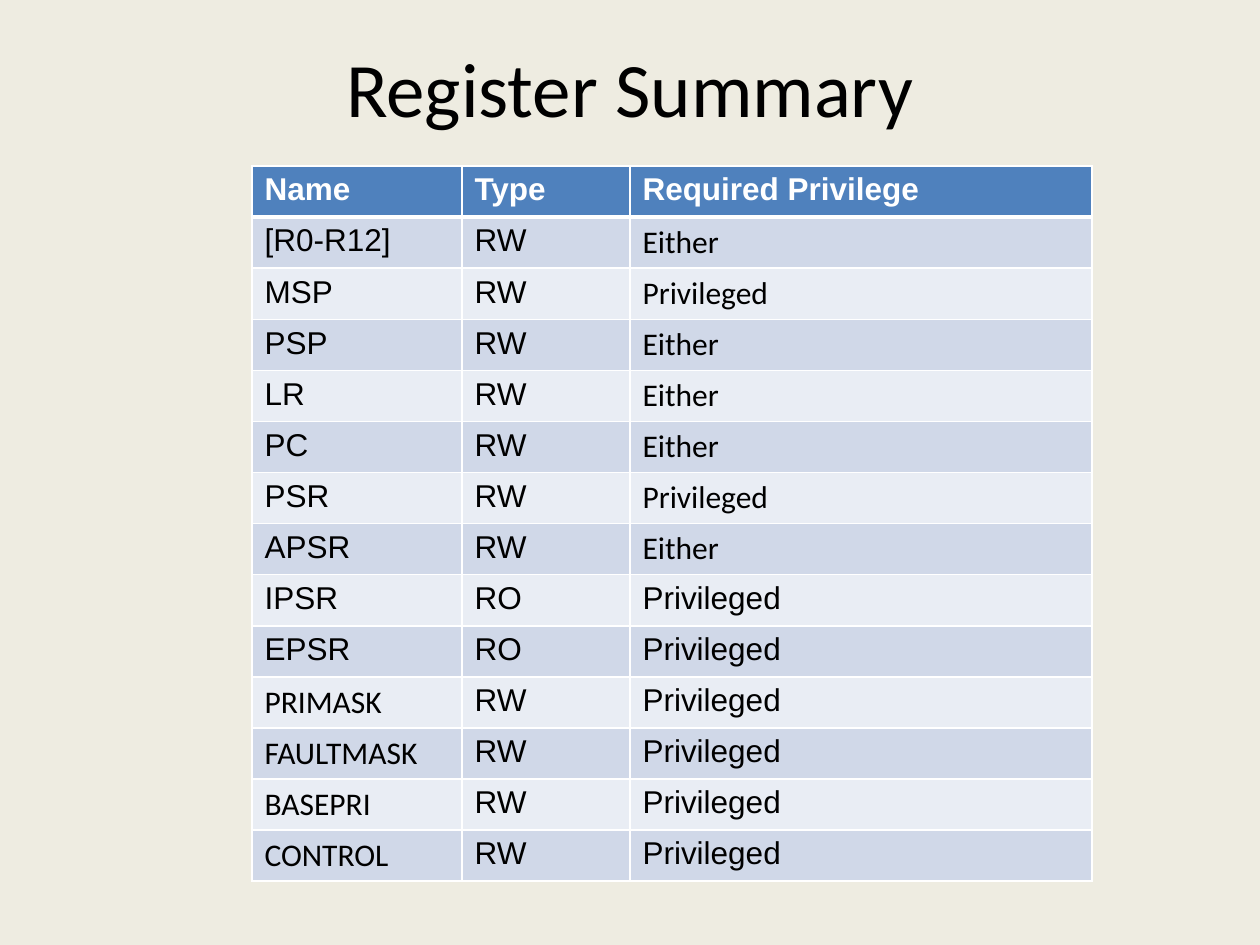
from lxml import etree
from pptx import Presentation
from pptx import util as u
from pptx.dml import color
from pptx.enum import text
from pptx.oxml import ns

HEADINGS = ["Name", "Type", "Required Privilege"]
REGISTERS = [
    ("[R0-R12]", "RW", "Either"),
    ("MSP", "RW", "Privileged"),
    ("PSP", "RW", "Either"),
    ("LR", "RW", "Either"),
    ("PC", "RW", "Either"),
    ("PSR", "RW", "Privileged"),
    ("APSR", "RW", "Either"),
    ("IPSR", "RO", "Privileged"),
    ("EPSR", "RO", "Privileged"),
    ("PRIMASK", "RW", "Privileged"),
    ("FAULTMASK", "RW", "Privileged"),
    ("BASEPRI", "RW", "Privileged"),
    ("CONTROL", "RW", "Privileged"),
]
CALIBRI_NAMES = {"PRIMASK", "FAULTMASK", "BASEPRI", "CONTROL"}
CALIBRI_PRIVILEGES = {"[R0-R12]", "MSP", "PSP", "LR", "PC", "PSR", "APSR"}


def rgb(value):
    return color.RGBColor.from_string(value)


def write(frame, content, font="Arial", size=18, ink="000000", bold=False,
          align=text.PP_ALIGN.LEFT):
    paragraph = frame.paragraphs[0]
    paragraph.alignment = align
    run = paragraph.add_run()
    run.text = content
    run.font.name = font
    run.font.size = u.Pt(size)
    run.font.bold = bold
    run.font.color.rgb = rgb(ink)


class Deck:
    COLUMNS, ROWS = 60, 18.5
    BACKGROUND, HEADER, RULE = "EEECE1", "4F81BD", "FFFFFF"
    BANDS = ("D0D8E8", "E9EDF4")

    def __init__(self):
        self.show = Presentation()
        self.show.slide_width = u.Inches(10)
        self.show.slide_height = u.Inches(7.5)
        self.slide = self.show.slides.add_slide(self.show.slide_layouts[5])
        backdrop = self.slide.background.fill
        backdrop.solid()
        backdrop.fore_color.rgb = rgb(self.BACKGROUND)

    def x(self, columns):
        return round(self.show.slide_width * columns / self.COLUMNS)

    def y(self, rows):
        return round(self.show.slide_height * rows / self.ROWS)

    def title(self, content, left, top, width, height):
        heading = self.slide.shapes.title
        heading.left, heading.top = self.x(left), self.y(top)
        heading.width, heading.height = self.x(width), self.y(height)
        heading.text_frame.vertical_anchor = text.MSO_ANCHOR.MIDDLE
        write(heading.text_frame, content, font="Calibri", size=44,
              align=text.PP_ALIGN.CENTER)

    def table(self, rows, left, top, widths, font_for):
        grid = self.slide.shapes.add_table(
            len(rows), len(widths), self.x(left), self.y(top),
            self.x(sum(widths)), self.y(len(rows))).table
        for column, width in zip(grid.columns, widths):
            column.width = self.x(width)
        for r, values in enumerate(rows):
            grid.rows[r].height = self.y(1)
            for c, value in enumerate(values):
                self.cell(grid.cell(r, c), value, r, font_for(values, c))

    def cell(self, cell, content, row, font):
        header = row == 0
        sides = {"L": 1, "R": 1, "T": 1, "B": 3} if header else {"L": 1, "R": 1, "B": 1}
        for side, points in sides.items():
            self.border(cell, side, points)
        cell.fill.solid()
        cell.fill.fore_color.rgb = rgb(self.HEADER if header else self.BANDS[(row - 1) % 2])
        write(cell.text_frame, content, font=font, bold=header,
              ink="FFFFFF" if header else "000000")

    def border(self, cell, side, points):
        properties = cell._tc.get_or_add_tcPr()
        line = etree.SubElement(properties, ns.qn(f"a:ln{side}"), w=str(u.Pt(points)))
        fill = etree.SubElement(line, ns.qn("a:solidFill"))
        etree.SubElement(fill, ns.qn("a:srgbClr"), val=self.RULE)


def register_font(values, column):
    name = values[0]
    calibri = (column == 0 and name in CALIBRI_NAMES
               or column == 2 and name in CALIBRI_PRIVILEGES)
    return "Calibri" if calibri else "Arial"


def main():
    deck = Deck()
    deck.title("Register Summary", left=3, top=0.74, width=54, height=1.92)
    deck.table([HEADINGS, *REGISTERS], left=12, top=3.25, widths=(10, 8, 22),
               font_for=register_font)
    deck.show.save("out.pptx")


if __name__ == "__main__":
    main()
